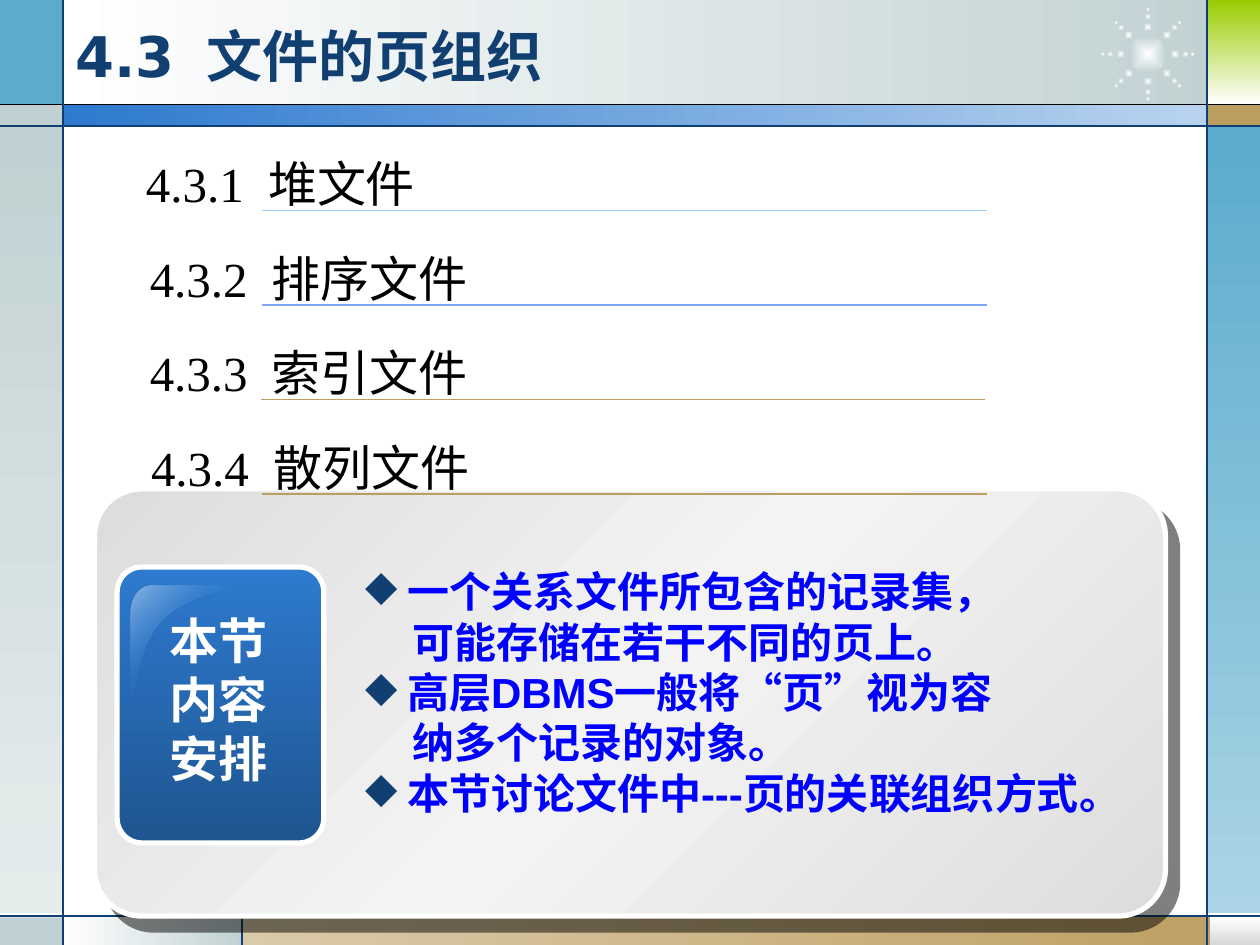
import copy
import math
from lxml import etree
from pptx import Presentation
from pptx import util as u
from pptx.dml.color import RGBColor
from pptx.enum import shapes, text
from pptx.oxml import ns

WHITE = RGBColor(0xFF, 0xFF, 0xFF)
BLACK = RGBColor(0x00, 0x00, 0x00)
NAVY = RGBColor(0x11, 0x3F, 0x71)
MIST = RGBColor(0xC1, 0xD1, 0xD3)
PALE = RGBColor(0xE5, 0xEC, 0xEC)
TEAL = RGBColor(0x5A, 0xAB, 0xCC)
AQUA = RGBColor(0xAA, 0xD4, 0xE5)
GOLD = RGBColor(0xBD, 0x9E, 0x61)
SAND = RGBColor(0xDB, 0xCA, 0xA9)
LIME = RGBColor(0x99, 0xCC, 0x00)
GREY = RGBColor(0xD8, 0xD8, 0xD8)
BLUE = RGBColor(0x2D, 0x7A, 0xCF)
SKY = RGBColor(0xB9, 0xD3, 0xEF)
DEEP = RGBColor(0x1F, 0x55, 0x90)
GLOSS = RGBColor(0x8D, 0xB7, 0xE5)
SILVER = RGBColor(0xDD, 0xDD, 0xDD)
LIGHT = RGBColor(0xF3, 0xF3, 0xF3)
INK = RGBColor(0x00, 0x00, 0xFF)
ICE = RGBColor(0x99, 0xCC, 0xFF)
AZURE = RGBColor(0x7B, 0xA6, 0xF3)

RECT = shapes.MSO_SHAPE.RECTANGLE
ROUND = shapes.MSO_SHAPE.ROUNDED_RECTANGLE
OVAL = shapes.MSO_SHAPE.OVAL


def sub(node, tag, **attrs):
    return etree.SubElement(node, ns.qn(tag), attrs)


def shade(node, color, alpha, dist, angle):
    fx = node.find(ns.qn("a:effectLst"))
    if fx is None:
        fx = sub(node, "a:effectLst")
    drop = sub(fx, "a:outerShdw", blurRad="0", dist=str(u.Pt(dist)),
               dir=str(angle * 60000), algn="ctr", rotWithShape="0")
    sub(sub(drop, "a:srgbClr", val=str(color)), "a:alpha", val=str(alpha * 1000))


def curve(a, b, c, d, steps=12):
    for i in range(1, steps + 1):
        t = i / steps
        s = 1 - t
        yield tuple(s**3 * p + 3 * s * s * t * q + 3 * s * t * t * v + t**3 * w
                    for p, q, v, w in zip(a, b, c, d))


class Deck:
    cols, rows = 100, 75

    def __init__(self):
        self.prs = Presentation()
        self.prs.slide_width = u.Inches(10)
        self.prs.slide_height = u.Inches(7.5)
        self.slide = self.prs.slides.add_slide(self.prs.slide_layouts[6])
        self.items = self.slide.shapes

    def x(self, n):
        return round(self.prs.slide_width * n / self.cols)

    def y(self, n):
        return round(self.prs.slide_height * n / self.rows)

    def box(self, left, top, wide, high):
        return self.x(left), self.y(top), self.x(wide), self.y(high)

    def paint(self, item, colors, angle=0, glow=False):
        item.shadow.inherit = False
        item.line.fill.background()
        if len(colors) == 1:
            item.fill.solid()
            item.fill.fore_color.rgb = colors[0]
            return item
        item.fill.gradient()
        item.fill.gradient_angle = -angle % 360
        grad = item._element.spPr.find(ns.qn("a:gradFill"))
        bag = grad.find(ns.qn("a:gsLst"))
        for _ in colors[2:]:
            bag.append(copy.deepcopy(bag[-1]))
        for i, stop in enumerate(item.fill.gradient_stops):
            stop.color.rgb = colors[i]
            stop.position = i / (len(colors) - 1)
        if glow:
            grad.remove(grad.find(ns.qn("a:lin")))
            mid = dict.fromkeys("ltrb", "50000")
            sub(sub(grad, "a:path", path="rect"), "a:fillToRect", **mid)
        return item

    def block(self, kind, area, *colors, angle=0, glow=False):
        return self.paint(self.items.add_shape(kind, *self.box(*area)),
                          colors, angle, glow)

    def card(self, area, bend, angle, *colors):
        item = self.block(ROUND, area, *colors, angle=angle)
        item.adjustments[0] = bend
        item.line.color.rgb = WHITE
        item.line.width = u.Pt(3)
        return item

    def rule(self, x1, y1, x2, y2, color):
        line = self.items.add_connector(
            shapes.MSO_CONNECTOR.STRAIGHT,
            self.x(x1), self.y(y1), self.x(x2), self.y(y2))
        line.line.color.rgb = color
        line.line.width = u.Pt(0.75)
        sub(line._element.spPr, "a:effectLst")

    def star(self, x, y):
        self.block(OVAL, (x - 1.5, y - 1.5, 3, 3), WHITE, MIST, glow=True)
        for arm in range(8):
            turn = math.radians(45 * arm)
            for far, size in (2.15, 0.7), (3, 0.5), (3.55, 0.35):
                left = x + far * math.cos(turn) - size / 2
                top = y + far * math.sin(turn) - size / 2
                self.block(OVAL, (left, top, size, size), WHITE, MIST, glow=True)

    def shine(self):
        dots = [(10.4, 57.5)]
        dots += curve(dots[0], (10.7, 57.7), (10.5, 52.3), (12.6, 49.7))
        dots += curve(dots[-1], (14.6, 47.2), (18.5, 47), (18.4, 46.5))
        dots.append((12, 46.5))
        dots += curve(dots[-1], (11.1, 46.5), (10.4, 47.5), (10.4, 48.7))
        spots = [(self.x(a), self.y(b)) for a, b in dots]
        form = self.items.build_freeform(*spots[0])
        form.add_line_segments(spots[1:], close=True)
        item = self.paint(form.convert_to_shape(), (GLOSS, BLUE, GLOSS), 45)
        grad = item._element.spPr.find(ns.qn("a:gradFill"))
        sub(grad.find(ns.qn("a:gsLst"))[1][0], "a:alpha", val="0")

    def label(self, area, lines, face, size, color, bold=False, side=1, tab=0):
        frame = self.items.add_textbox(*self.box(*area)).text_frame
        frame.word_wrap = True
        frame.margin_left = frame.margin_right = self.x(side)
        frame.margin_top = frame.margin_bottom = self.y(0.5)
        frame.text = "\n".join(lines)
        for para in frame.paragraphs:
            if tab:
                tabs = sub(para._p.get_or_add_pPr(), "a:tabLst")
                sub(tabs, "a:tab", pos=str(self.x(tab)), algn="l")
            for run in para.runs:
                run.font.name = face
                run.font.size = u.Pt(size)
                run.font.color.rgb = color
                run.font.bold = bold
        return frame

    def mark(self, para, hang):
        prop = para._p.get_or_add_pPr()
        prop.set("marL", str(self.x(hang)))
        prop.set("indent", str(-self.x(hang)))
        sub(sub(prop, "a:buClr"), "a:srgbClr", val=str(NAVY))
        sub(prop, "a:buChar", char="◆")


def main():
    deck = Deck()
    for area, angle, colors in (
        ((5, 0, 92.7, 8.4), 0, (WHITE, MIST)),
        ((0, 0, 5, 8.4), 0, (TEAL,)),
        ((0, 8.3, 5, 1.7), 0, (MIST,)),
        ((0, 10, 5, 62.5), 90, (MIST, PALE)),
        ((0, 72.8, 5, 2.2), 0, (MIST,)),
        ((5, 72.7, 14.3, 2.3), 0, (WHITE, MIST)),
        ((19.2, 72.7, 80.8, 2.3), 0, (SAND, GOLD)),
        ((96, 72.8, 4, 2.2), 90, (WHITE, GREY)),
        ((95.8, 10, 4.2, 62.5), 90, (TEAL, AQUA)),
        ((95.8, 8.3, 4.2, 1.7), 0, (GOLD,)),
        ((95.9, 0, 4.1, 8.3), 90, (LIME, WHITE)),
        ((5, 8.3, 90.9, 1.7), 0, (BLUE, SKY)),
    ):
        deck.block(RECT, area, *colors, angle=angle)
    deck.star(91.1, 4.3)
    for row, color in (8.3, BLACK), (10, NAVY), (72.7, NAVY):
        deck.rule(0, row, 100, row, color)
    for col, top in (5, 0), (95.8, 0), (19.2, 72.7):
        deck.rule(col, top, col, 75, NAVY)

    head = deck.label((5, 1.3, 90.8, 6.2), ["4.3\t文件的页组织"],
                      "DejaVu Sans", 32, NAVY, bold=True, tab=10.4)
    head.vertical_anchor = text.MSO_ANCHOR.MIDDLE

    panel = deck.card((7.5, 38.8, 85, 33.9), 0.11, 45, SILVER, LIGHT, SILVER)
    shade(panel._element.spPr, BLACK, 50, 10.6, 49)
    deck.card((9.3, 45, 16.4, 21.9), 0.12, 90, BLUE, DEEP)
    deck.shine()
    tag = deck.label((12.5, 48, 9.7, 15), ["本节", "内容", "安排"],
                     "Arial", 28, WHITE, bold=True, side=0)
    for para in tag.paragraphs:
        para.alignment = text.PP_ALIGN.CENTER
        for run in para.runs:
            prop = run._r.get_or_add_rPr()
            shade(prop, BLACK, 60, 2, 45)
            prop.insert(1, prop.find(ns.qn("a:effectLst")))

    notes = deck.label((28, 44.4, 63.8, 21), [
        " 一个关系文件所包含的记录集，",
        "可能存储在若干不同的页上。",
        " 高层DBMS一般将“页”视为容",
        "纳多个记录的对象。",
        " 本节讨论文件中---页的关联组织方式。",
    ], "Arial", 24, INK, bold=True)
    for i, para in enumerate(notes.paragraphs):
        if i % 2:
            para._p.get_or_add_pPr().set("marL", str(deck.x(3.75)))
        else:
            deck.mark(para, 2.35)

    for i, (name, left, start, color) in enumerate((
        ("堆文件", 10.6, 20.8, ICE),
        ("排序文件", 10.9, 20.8, AZURE),
        ("索引文件", 10.9, 20.7, GOLD),
        ("散列文件", 11, 20.8, GOLD),
    )):
        deck.label((left, 11.7 + 7.5 * i, 34.1, 5.7), [f"4.3.{i + 1}\t{name}"],
                   "Times New Roman", 28, BLACK, tab=9.7)
        row = 16.7 + 7.5 * i
        deck.rule(start, row, start + 57.5, row, color)
    deck.prs.save("out.pptx")


if __name__ == "__main__":
    main()
